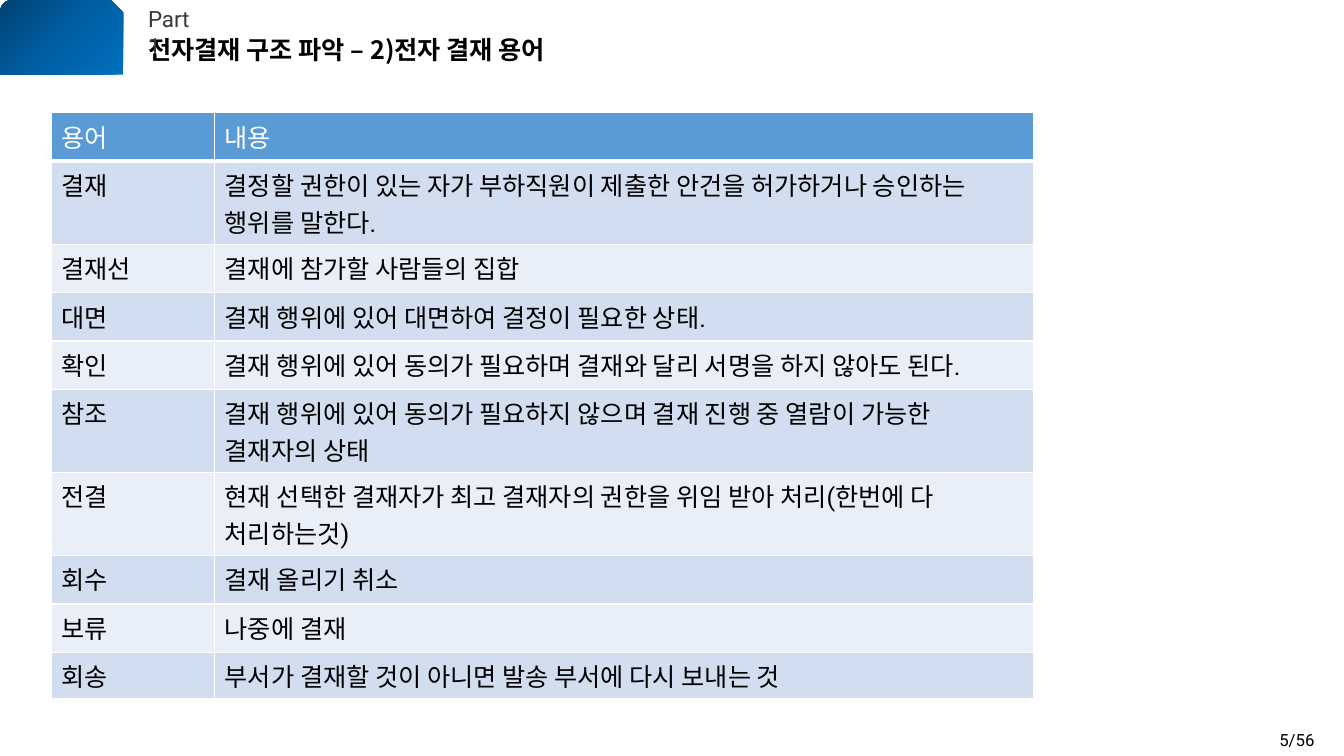
from pptx import Presentation
from pptx.dml.color import RGBColor
from pptx.enum.shapes import MSO_SHAPE
from pptx.enum.text import MSO_AUTO_SIZE
from pptx.oxml import parse_xml
from pptx.oxml.ns import nsdecls
from pptx.util import Inches, Pt

COLORS = {
    "navy": "004272", "ocean": "005EA2", "blue": "0070C0",
    "header": "5B9BD5", "band_dark": "D2DEEF", "band_light": "EAEFF7",
    "white": "FFFFFF", "black": "000000", "gray": "3B3838",
}

TERMS = [
    ("용어", "내용"),
    ("결재", "결정할 권한이 있는 자가 부하직원이 제출한 안건을 허가하거나 승인하는 행위를 말한다."),
    ("결재선", "결재에 참가할 사람들의 집합"),
    ("대면", "결재 행위에 있어 대면하여 결정이 필요한 상태."),
    ("확인", "결재 행위에 있어 동의가 필요하며 결재와 달리 서명을 하지 않아도 된다."),
    ("참조", "결재 행위에 있어 동의가 필요하지 않으며 결재 진행 중 열람이 가능한 결재자의 상태"),
    ("전결", "현재 선택한 결재자가 최고 결재자의 권한을 위임 받아 처리(한번에 다 처리하는것)"),
    ("회수", "결재 올리기 취소"),
    ("보류", "나중에 결재"),
    ("회송", "부서가 결재할 것이 아니면 발송 부서에 다시 보내는 것"),
]
ROW_HEIGHTS = [0.48, 0.55] + [0.48] * 7 + [0.39]


class SlideBuilder:
    font = "Roboto"

    def __init__(self, s):
        self.s = s

    def style(self, tf, size, color, font=None, bold=False):
        for p in tf.paragraphs:
            for r in p.runs:
                r.font.name = font or self.font
                r.font.size = Pt(size)
                r.font.bold = bold
                r.font.color.rgb = RGBColor.from_string(COLORS[color])

    def corner(self, x, y, w, h, stops):
        sp = self.s.shapes.add_shape(MSO_SHAPE.SNIP_ROUND_RECTANGLE,
                                     Inches(x), Inches(y), Inches(w), Inches(h))
        sp.shadow.inherit = False
        sp.line.fill.background()
        gs = "".join(f'<a:gs pos="{pos * 1000}"><a:srgbClr val="{COLORS[c]}"/></a:gs>'
                     for pos, c in stops)
        # Radial gradient spreading from the top left corner
        sp._element.spPr.prstGeom.addnext(parse_xml(
            f'<a:gradFill {nsdecls("a")} rotWithShape="1"><a:gsLst>{gs}</a:gsLst>'
            '<a:path path="circle"><a:fillToRect r="100000" b="100000"/></a:path>'
            '</a:gradFill>'))

    def text(self, text, x, y, w, h, size, color, wrap=True, grow=False, **style):
        tf = self.s.shapes.add_textbox(Inches(x), Inches(y), Inches(w), Inches(h)).text_frame
        tf.word_wrap = wrap
        if grow:
            tf.auto_size = MSO_AUTO_SIZE.SHAPE_TO_FIT_TEXT
        tf.text = text
        self.style(tf, size, color, **style)

    def borders(self, cell, bottom):
        tcPr = cell._tc.get_or_add_tcPr()
        for side, width in (("L", 1), ("R", 1), ("T", 1), ("B", bottom)):
            tcPr.append(parse_xml(
                f'<a:ln{side} {nsdecls("a")} w="{Pt(width)}"><a:solidFill>'
                f'<a:srgbClr val="{COLORS["white"]}"/></a:solidFill></a:ln{side}>'))

    def table(self, rows, x, y, widths, heights, size):
        table = self.s.shapes.add_table(len(rows), len(widths), Inches(x), Inches(y),
                                        Inches(sum(widths)), Inches(sum(heights))).table
        for column, width in zip(table.columns, widths):
            column.width = Inches(width)
        for i, (row, height) in enumerate(zip(rows, heights)):
            table.rows[i].height = Inches(height)
            band = "header" if i == 0 else "band_dark" if i % 2 else "band_light"
            for j, value in enumerate(row):
                cell = table.cell(i, j)
                cell.text = value
                self.style(cell.text_frame, size, "white" if i == 0 else "black")
                self.borders(cell, bottom=3 if i == 0 else 1)
                cell.fill.solid()
                cell.fill.fore_color.rgb = RGBColor.from_string(COLORS[band])


def main():
    prs = Presentation()
    prs.slide_width, prs.slide_height = Inches(13.33), Inches(7.5)
    b = SlideBuilder(prs.slides.add_slide(prs.slide_layouts[6]))

    # Corner block
    b.corner(0, 0, 1.22, 0.74, [(0, "navy"), (50, "ocean"), (100, "blue")])

    # Glossary table
    b.table(TERMS, 0.51, 1.12, [1.62, 8.12], ROW_HEIGHTS, 18)

    # Heading and page number
    b.text("전자결재 구조 파악 – 2)전자 결재 용어", 1.37, 0.29, 4.83, 0.44, 18, "black",
           font="Noto Sans CJK KR", bold=True)
    b.text("Part 1", 1.37, 0, 0.74, 0.37, 16, "gray", wrap=False, grow=True)
    b.text("5/56", 12.59, 7.19, 0.78, 0.3, 12, "black", grow=True)

    prs.save("out.pptx")


if __name__ == "__main__":
    main()
